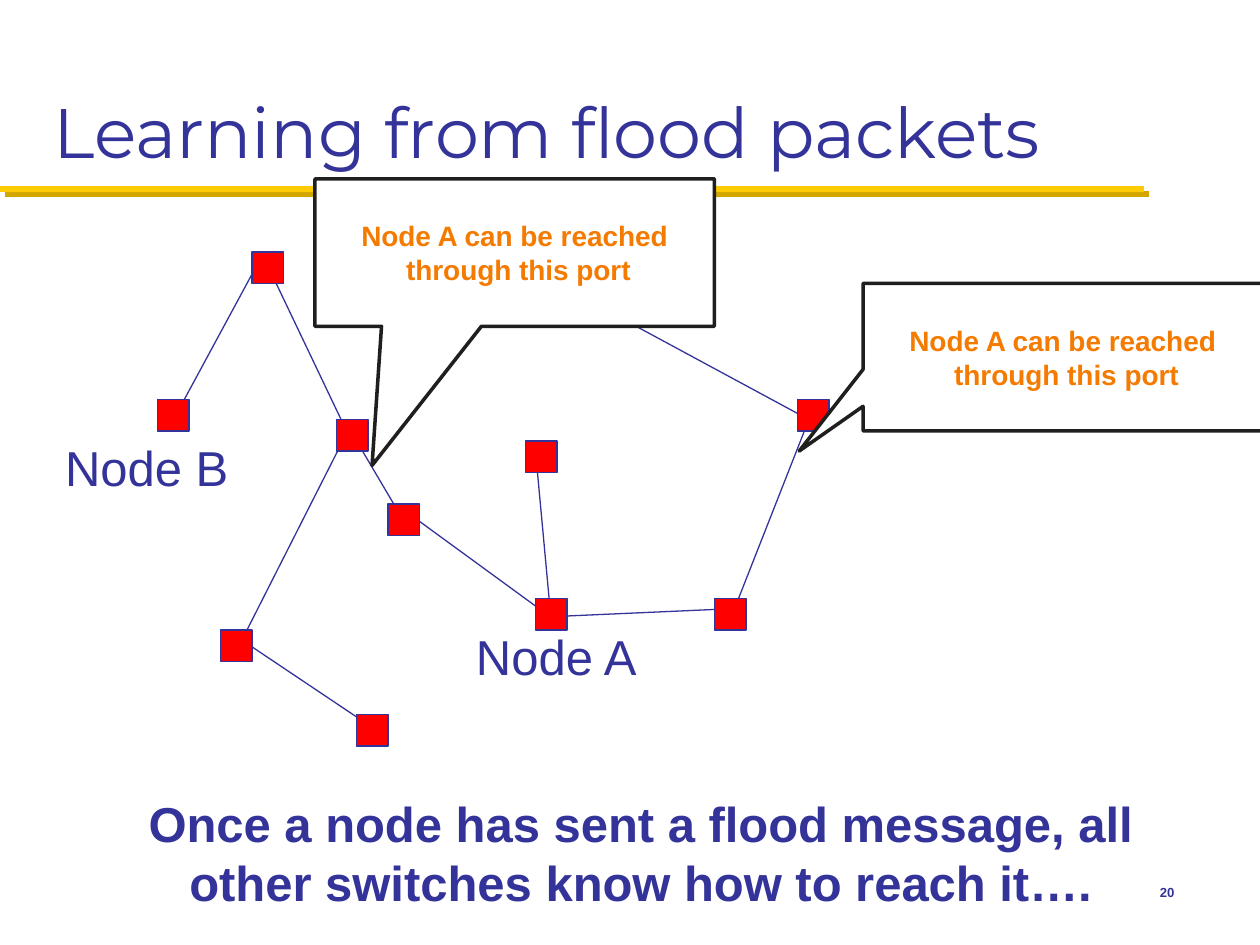
from lxml.etree import SubElement
from pptx import Presentation
from pptx.dml.color import RGBColor
from pptx.enum.shapes import MSO_CONNECTOR, MSO_SHAPE
from pptx.enum.text import MSO_ANCHOR, PP_ALIGN
from pptx.oxml.ns import qn
from pptx.util import Inches, Pt

NAVY = "333399"
SIDE = 0.25
NODES = [
    (2.67, 3.33), (3.08, 4), (1.75, 5), (2, 2), (1.25, 3.17),
    (2.83, 5.67), (4.25, 4.75), (5.67, 4.75), (4.17, 3.5), (6.33, 3.17),
]
LINKS = [
    (2.14, 2.14, 2.75, 3.42), (2.02, 2.14, 1.42, 3.25),
    (2.83, 3.5, 3.19, 4.11), (4.42, 2.25, 6.42, 3.33),
    (6.42, 3.33, 5.83, 4.83), (1.92, 5.08, 2.92, 5.75),
    (3.25, 4.08, 4.36, 4.89), (5.83, 4.83, 4.48, 4.89),
    (4.25, 3.58, 4.36, 4.77), (1.92, 5.08, 2.69, 3.56),
]
NOTE = "Node A can be reached\n through this port"
CALLS = [(6.85, 2.25, -0.66, 0.637), (2.5, 1.42, -0.357, 1.444)]


def color(code):
    return RGBColor.from_string(code)


def write(shape, text, size, hue=NAVY, font="Arial", bold=False,
          align=PP_ALIGN.CENTER, anchor=MSO_ANCHOR.TOP, wrap=True):
    frame = shape.text_frame
    frame.text = text
    frame.word_wrap = wrap
    frame.vertical_anchor = anchor
    for para in frame.paragraphs:
        para.alignment = align
        for run in para.runs:
            run.font.name = font
            run.font.size = Pt(size)
            run.font.bold = bold
            run.font.color.rgb = color(hue)


def add_text(slide, box, text, size, **style):
    shape = slide.shapes.add_textbox(*map(Inches, box))
    write(shape, text, size, **style)


def add_line(slide, ends, hue=NAVY, width=0.75):
    line = slide.shapes.add_connector(MSO_CONNECTOR.STRAIGHT, *map(Inches, ends))
    line.line.color.rgb = color(hue)
    line.line.width = Pt(width)
    return SubElement(line._element.spPr, qn("a:effectLst"))


def add_rule(slide):
    effects = add_line(slide, (0, 1.5, 9.08, 1.5), "FFCB05", 3.5)
    shade = SubElement(effects, qn("a:outerShdw"), dist=str(Pt(4.2)),
                       dir="2700000", algn="ctr", rotWithShape="0")
    SubElement(shade, qn("a:srgbClr"), val="D3A600")


def add_box(slide, kind, box, fill, edge, width):
    shape = slide.shapes.add_shape(kind, *map(Inches, box))
    shape.shadow.inherit = False
    shape.fill.solid()
    shape.fill.fore_color.rgb = color(fill)
    shape.line.color.rgb = color(edge)
    shape.line.width = Pt(width)
    return shape


def add_call(slide, left, top, tip_x, tip_y):
    shape = add_box(slide, MSO_SHAPE.RECTANGULAR_CALLOUT,
                    (left, top, 3.17, 1.17), "FFFFFF", "1F1F1F", 2)
    shape.adjustments[0] = tip_x
    shape.adjustments[1] = tip_y
    write(shape, NOTE, 16, hue="F47A00", bold=True,
          anchor=MSO_ANCHOR.MIDDLE, wrap=False)


def main():
    deck = Presentation()
    deck.slide_width = Inches(10)
    deck.slide_height = Inches(7.5)
    slide = deck.slides.add_slide(deck.slide_layouts[6])

    add_rule(slide)
    add_text(slide, (0.33, 0.17, 9.33, 1.25), "Learning from flood packets", 40,
             font="Montserrat", align=PP_ALIGN.LEFT, anchor=MSO_ANCHOR.BOTTOM)
    for ends in LINKS:
        add_line(slide, ends)
    for left, top in NODES:
        add_box(slide, MSO_SHAPE.RECTANGLE, (left, top, SIDE, SIDE),
                "FF0000", NAVY, 0.75)
    add_text(slide, (3, 4.92, 2.83, 0.57), "Node A", 28)
    for call in CALLS:
        add_call(slide, *call)
    add_text(slide, (0.75, 6.25, 8.67, 1.04),
             "Once a node has sent a flood message, all other switches "
             "know how to reach it….", 28, bold=True)
    add_text(slide, (-0.25, 3.42, 2.83, 0.57), "Node B", 28)
    add_text(slide, (8.75, 6.83, 0.67, 0.5), "20", 7.5, bold=True,
             align=PP_ALIGN.RIGHT, anchor=MSO_ANCHOR.MIDDLE)
    deck.save("out.pptx")


main()
